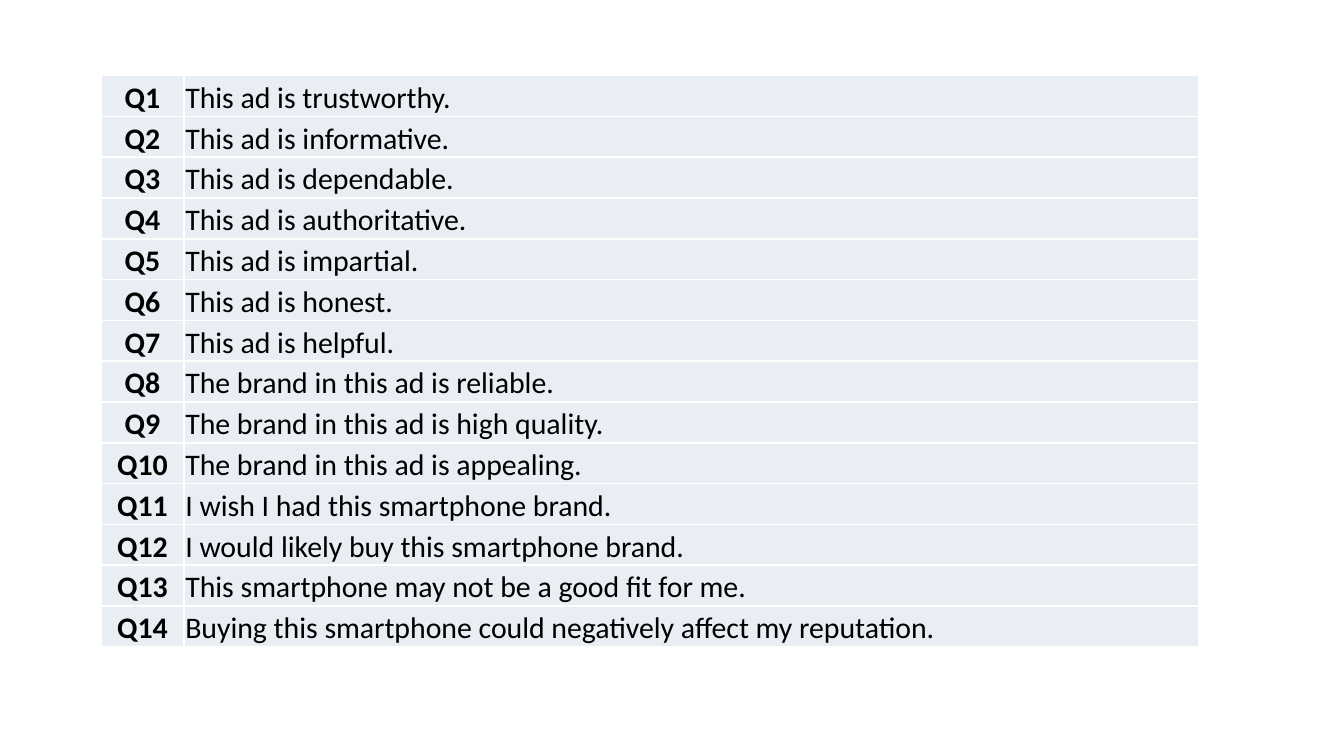
from lxml import etree
from pptx import Presentation
from pptx.dml import color as c
from pptx.enum import text
from pptx.oxml import ns
from pptx.util import Pt

STATEMENTS = [
    "This ad is trustworthy.",
    "This ad is informative.",
    "This ad is dependable.",
    "This ad is authoritative.",
    "This ad is impartial.",
    "This ad is honest.",
    "This ad is helpful.",
    "The brand in this ad is reliable.",
    "The brand in this ad is high quality.",
    "The brand in this ad is appealing.",
    "I wish I had this smartphone brand.",
    "I would likely buy this smartphone brand.",
    "This smartphone may not be a good fit for me.",
    "Buying this smartphone could negatively affect my reputation.",
]
NUMBER_WIDTH = 44.6


def paint(color_format, hex_color):
    color_format.rgb = c.RGBColor.from_string(hex_color)


def add_borders(cell, hex_color, width):
    properties = cell._tc.get_or_add_tcPr()
    for side in ("lnL", "lnR", "lnT", "lnB"):
        line = etree.SubElement(properties, ns.qn(f"a:{side}"), w=str(Pt(width)))
        fill = etree.SubElement(line, ns.qn("a:solidFill"))
        etree.SubElement(fill, ns.qn("a:srgbClr"), val=hex_color)


def format_cell(cell, content, is_number):
    add_borders(cell, "FFFFFF", 1)
    cell.fill.solid()
    paint(cell.fill.fore_color, "E9EDF4")
    cell.margin_left = cell.margin_right = cell.margin_top = Pt(0.7)
    cell.margin_bottom = Pt(0)
    cell.vertical_anchor = text.MSO_ANCHOR.BOTTOM
    paragraph = cell.text_frame.paragraphs[0]
    paragraph.text = content
    paragraph.alignment = text.PP_ALIGN.CENTER if is_number else text.PP_ALIGN.LEFT
    font = paragraph.runs[0].font
    font.name = "Calibri"
    font.size = Pt(16)
    font.bold = is_number
    paint(font.color, "000000")


def add_question_table(slide, left, top, width, height):
    table = slide.shapes.add_table(
        len(STATEMENTS), 2, Pt(left), Pt(top), Pt(width), Pt(height)).table
    table.first_row = table.horz_banding = False
    table.columns[0].width = Pt(NUMBER_WIDTH)
    table.columns[1].width = Pt(width - NUMBER_WIDTH)
    for index, statement in enumerate(STATEMENTS):
        table.rows[index].height = Pt(height / len(STATEMENTS))
        format_cell(table.cell(index, 0), f"Q{index + 1}", True)
        format_cell(table.cell(index, 1), statement, False)


presentation = Presentation()
presentation.slide_width = Pt(720)
presentation.slide_height = Pt(405)
# Blank layout with the questionnaire
slide = presentation.slides.add_slide(presentation.slide_layouts[6])
add_question_table(slide, 54, 40.5, 588, 306)
presentation.save("out.pptx")
